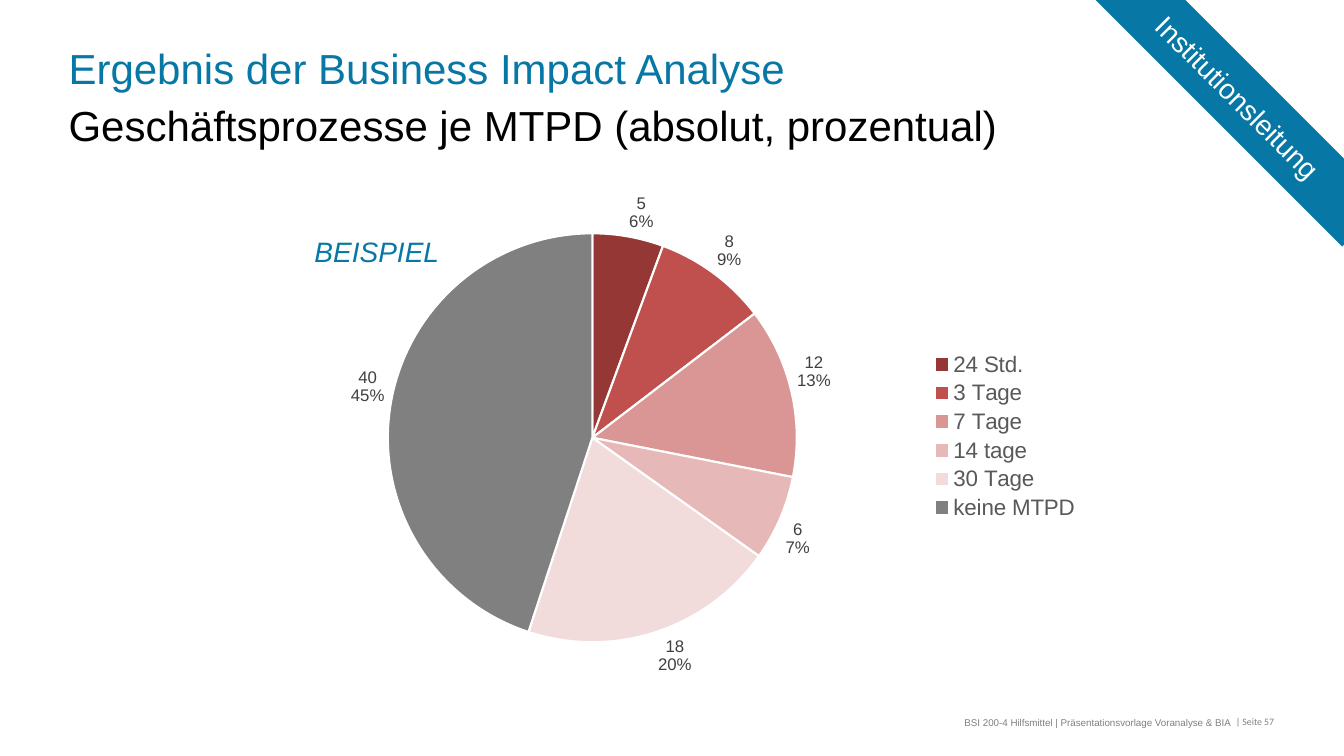
from dataclasses import dataclass
from typing import NamedTuple

from lxml import etree
from pptx import Presentation
from pptx import util as u
from pptx.chart import data as chart_data
from pptx.dml import color as dml
from pptx.enum import chart as chart_enum
from pptx.enum import shapes, text
from pptx.oxml import ns


@dataclass(frozen=True)
class Theme:
    font: str = "Arial"
    page_font: str = "Calibri"
    accent: str = "0778A5"
    black: str = "000000"
    white: str = "FFFFFF"
    gray: str = "808080"
    separator: str = "6B7581"
    legend: str = "595959"
    data_label: str = "404040"
    heading_size: float = 30
    accent_size: float = 20
    legend_size: float = 16
    data_label_size: float = 12
    footer_size: float = 7


THEME = Theme()


class Box(NamedTuple):
    left: float
    top: float
    width: float
    height: float

    def points(self) -> tuple[u.Length, ...]:
        return tuple(u.Pt(length) for length in self)


class Run(NamedTuple):
    text: str
    color: str


@dataclass(frozen=True)
class Label:
    box: Box
    runs: tuple[Run, ...]
    size: float
    font: str = THEME.font
    italic: bool = False
    wrap: bool = True
    align: text.PP_ALIGN = text.PP_ALIGN.LEFT
    anchor: text.MSO_ANCHOR = text.MSO_ANCHOR.TOP
    insets: tuple[float, float, float, float] = (0, 0, 0, 0)
    line_spacing: float | None = None


class Slice(NamedTuple):
    period: str
    processes: int
    color: str


TITLE = Label(Box(49, 31.7, 759.6, 39.6), (Run("Ergebnis der Business Impact Analyse", THEME.accent),),
              THEME.heading_size, line_spacing=35)
SUBTITLE = Label(Box(49, 71.3, 759.6, 33.8),
                 (Run("Geschäftsprozesse je MTPD (absolut, prozentual)", THEME.black),),
                 THEME.heading_size)
FOOTER = Label(Box(554.4, 508.3, 324.7, 13),
               (Run("BSI 200-4 Hilfsmittel | Präsentationsvorlage Voranalyse & BIA", THEME.gray),),
               THEME.footer_size, align=text.PP_ALIGN.RIGHT, insets=(7.2, 3.6, 0, 3.6))
PAGE_NUMBER = Label(Box(882.7, 502.6, 36.7, 17.3),
                    (Run("| ", THEME.separator), Run("Seite 57", THEME.gray)),
                    THEME.footer_size, font=THEME.page_font, anchor=text.MSO_ANCHOR.BOTTOM)
EXAMPLE = Label(Box(224.6, 167.8, 90, 24.5), (Run("BEISPIEL", THEME.accent),),
                THEME.accent_size, italic=True, wrap=False)
RIBBON = Label(Box(756, 46.8, 256.3, 45.4), (Run("Institutionsleitung", THEME.white),),
               THEME.accent_size, align=text.PP_ALIGN.CENTER,
               anchor=text.MSO_ANCHOR.MIDDLE, insets=(5.8, 5.8, 5.8, 5.8))

CHART_BOX = Box(181.4, 128.2, 597.6, 366.5)
PIE_AREA = {"x": 0.16, "y": 0.105, "w": 0.489, "h": 0.797}
SLICES = (
    Slice("24 Std.", 5, "953735"),
    Slice("3 Tage", 8, "C0504D"),
    Slice("7 Tage", 12, "D99694"),
    Slice("14 tage", 6, "E6B9B8"),
    Slice("30 Tage", 18, "F2DCDB"),
    Slice("keine MTPD", 40, THEME.gray),
)


def style_font(font, size: float, color: str, name: str = THEME.font) -> None:
    font.name = name
    font.size = u.Pt(size)
    font.color.rgb = dml.RGBColor.from_string(color)


def write_label(shape, label: Label) -> None:
    frame = shape.text_frame
    frame.word_wrap = label.wrap
    frame.vertical_anchor = label.anchor
    frame.margin_left, frame.margin_top, frame.margin_right, frame.margin_bottom = (
        u.Pt(inset) for inset in label.insets)
    paragraph = frame.paragraphs[0]
    paragraph.alignment = label.align
    if label.line_spacing:
        paragraph.line_spacing = u.Pt(label.line_spacing)
    for part in label.runs:
        run = paragraph.add_run()
        run.text = part.text
        style_font(run.font, label.size, part.color, label.font)
        run.font.italic = label.italic


def add_label(slide, label: Label) -> None:
    write_label(slide.shapes.add_textbox(*label.box.points()), label)


def add_ribbon(slide, label: Label) -> None:
    ribbon = slide.shapes.add_shape(shapes.MSO_SHAPE.RECTANGLE, *label.box.points())
    ribbon.shadow.inherit = False
    ribbon.rotation = 45
    ribbon.fill.solid()
    ribbon.fill.fore_color.rgb = dml.RGBColor.from_string(THEME.accent)
    ribbon.line.fill.background()
    write_label(ribbon, label)


def place_plot_area(chart) -> None:
    """Fix the inner plot area as fractions of the chart."""
    plot_area = chart.plots[0]._element.getparent()
    for automatic in plot_area.findall(ns.qn("c:layout")):
        plot_area.remove(automatic)
    layout = etree.Element(ns.qn("c:layout"))
    manual = etree.SubElement(layout, ns.qn("c:manualLayout"))
    settings = {"layoutTarget": "inner", "xMode": "edge", "yMode": "edge", **PIE_AREA}
    for name, value in settings.items():
        etree.SubElement(manual, ns.qn(f"c:{name}")).set("val", str(value))
    plot_area.insert(0, layout)


def style_data_labels(series) -> None:
    labels = series.data_labels
    style_font(labels.font, THEME.data_label_size, THEME.data_label)
    labels.position = chart_enum.XL_LABEL_POSITION.OUTSIDE_END
    labels.show_value = True
    labels.show_percentage = True
    separator = etree.Element(ns.qn("c:separator"))
    separator.text = "\n"
    labels._element.find(ns.qn("c:showBubbleSize")).addnext(separator)


def add_pie(slide, slices: tuple[Slice, ...]) -> None:
    data = chart_data.CategoryChartData()
    data.categories = [item.period for item in slices]
    data.add_series("Series 1", [item.processes for item in slices])
    chart = slide.shapes.add_chart(
        chart_enum.XL_CHART_TYPE.PIE, *CHART_BOX.points(), data).chart
    style_font(chart.font, 10, THEME.black)
    chart.has_title = False
    chart.has_legend = True
    chart.legend.position = chart_enum.XL_LEGEND_POSITION.RIGHT
    chart.legend.include_in_layout = False
    style_font(chart.legend.font, THEME.legend_size, THEME.legend)
    place_plot_area(chart)
    plot = chart.plots[0]
    plot.vary_by_categories = True
    series = plot.series[0]
    for index, item in enumerate(slices):
        point_format = series.points[index].format
        point_format.fill.solid()
        point_format.fill.fore_color.rgb = dml.RGBColor.from_string(item.color)
        point_format.line.color.rgb = dml.RGBColor.from_string(THEME.white)
        point_format.line.width = u.Pt(1.5)
    style_data_labels(series)


def main() -> None:
    presentation = Presentation()
    presentation.slide_width = u.Pt(960)
    presentation.slide_height = u.Pt(540)
    slide = presentation.slides.add_slide(presentation.slide_layouts[6])
    for label in (PAGE_NUMBER, TITLE, SUBTITLE, FOOTER):
        add_label(slide, label)
    add_pie(slide, SLICES)
    add_label(slide, EXAMPLE)
    add_ribbon(slide, RIBBON)
    presentation.save("out.pptx")


if __name__ == "__main__":
    main()
